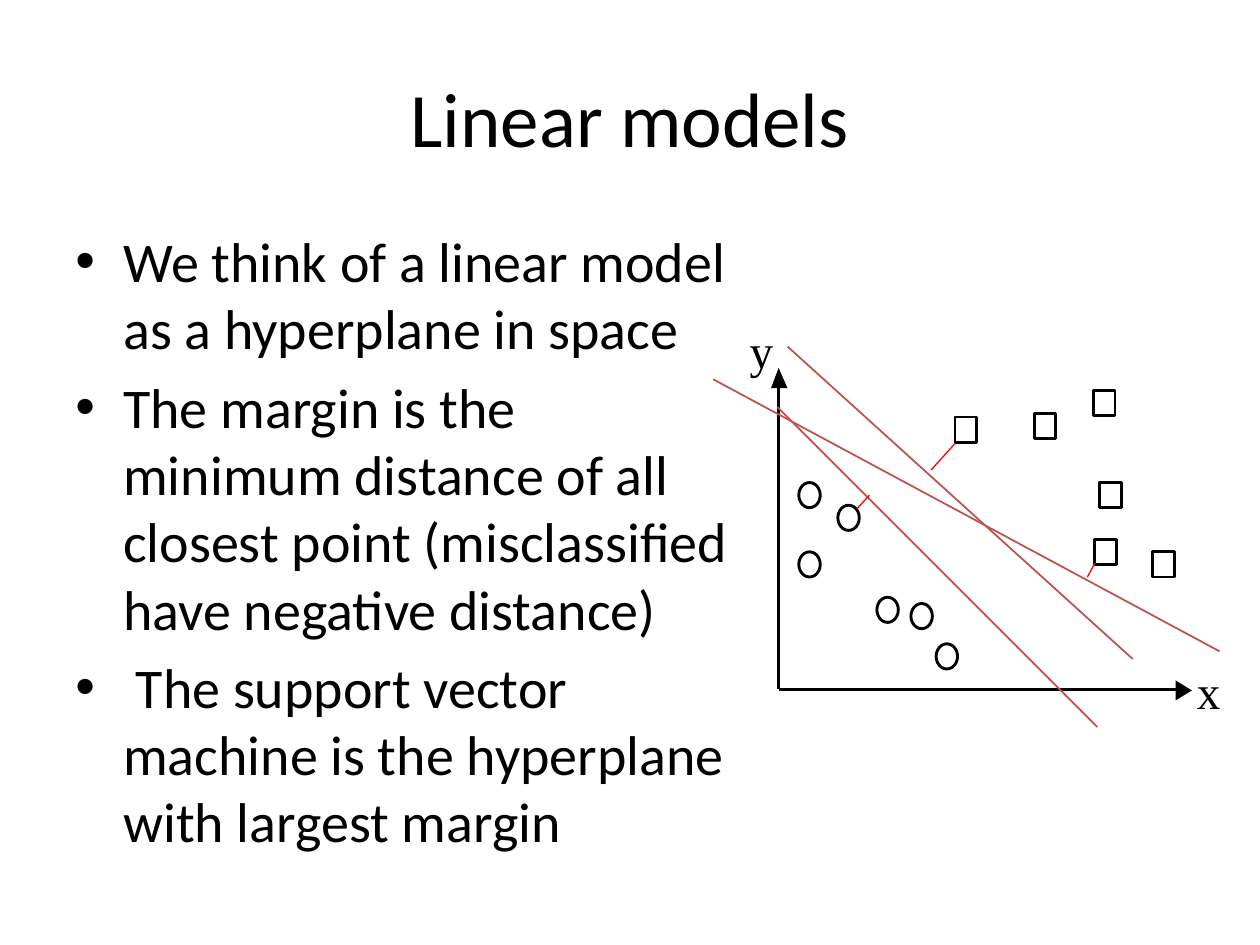
from lxml import etree
from pptx import Presentation
from pptx.dml.color import RGBColor
from pptx.enum.shapes import MSO_CONNECTOR, MSO_SHAPE
from pptx.enum.text import MSO_ANCHOR, MSO_AUTO_SIZE, PP_ALIGN
from pptx.oxml.ns import qn
from pptx.util import Inches, Pt

STRAIGHT = MSO_CONNECTOR.STRAIGHT
CIRCLE, SQUARE = MSO_SHAPE.OVAL, MSO_SHAPE.RECTANGLE
MIDDLE, TOP = MSO_ANCHOR.MIDDLE, MSO_ANCHOR.TOP
CENTER, LEFT = PP_ALIGN.CENTER, PP_ALIGN.LEFT
NO_AUTOFIT = MSO_AUTO_SIZE.NONE
TITLE_ONLY = 5
COLUMNS, ROWS = 100, 75

BULLETS = [
    "We think of a linear model as a hyperplane in space",
    "The margin is the minimum distance of all closest point (misclassified have negative distance)",
    " The support vector machine is the hyperplane with largest margin",
]
CIRCLES = [(72.3, 47.9), (63.4, 43.8), (63.4, 38.3), (69.6, 47.4), (74.3, 51.1), (66.5, 40.1)]
SQUARES = [(75.8, 33.1), (86.9, 42.8), (82.1, 32.8), (86.8, 31), (91.5, 43.8), (87.3, 38.3)]
AXES = [((61.8, 54.7), (61.8, 30.7)), ((61.8, 54.7), (93.3, 54.7))]
ARROWHEADS = [[(62.5, 30.8), (61.8, 29.2), (61.2, 30.8)], [(93.3, 55.6), (94.6, 54.8), (93.3, 54)]]
HYPERPLANES = [((62.5, 27.5), (89.9, 52.3)), ((61.7, 32.3), (87.1, 57.7)), ((56.6, 30.1), (96.8, 51.7))]
MARGINS = [((68, 40.4), (69, 39.3)), ((86.3, 45.8), (86.9, 44.7)), ((73.9, 37.3), (75.8, 35.2))]


def color(value):
    return RGBColor.from_string(value)


class SlideBuilder:
    black, white, plane, margin = "000000", "FFFFFF", "C0504D", "FF0000"
    sans, serif = "Calibri", "Times New Roman"
    stroke = 1.63

    def __init__(self, presentation):
        self.column = presentation.slide_width / COLUMNS
        self.row = presentation.slide_height / ROWS
        self.slide = presentation.slides.add_slide(presentation.slide_layouts[TITLE_ONLY])
        self.shapes = self.slide.shapes

    def point(self, column, row):
        return round(column * self.column), round(row * self.row)

    def box(self, left, top, width, height):
        return self.point(left, top) + self.point(width, height)

    def format_text(self, paragraph, font, size, alignment=LEFT):
        paragraph.alignment = alignment
        paragraph.font.name = font
        paragraph.font.size = Pt(size)
        paragraph.font.color.rgb = color(self.black)

    def title(self, text, *area):
        shape = self.shapes.title
        shape.left, shape.top, shape.width, shape.height = self.box(*area)
        shape.text_frame.text = text
        shape.text_frame.vertical_anchor = MIDDLE
        self.format_text(shape.text_frame.paragraphs[0], self.sans, 44, CENTER)

    def bullets(self, texts, *area):
        frame = self.shapes.add_textbox(*self.box(*area)).text_frame
        frame.word_wrap = True
        frame.auto_size = NO_AUTOFIT
        frame.vertical_anchor = TOP
        frame.text = "\n".join(texts)
        for paragraph in frame.paragraphs:
            self.format_text(paragraph, self.sans, 32)
            paragraph.space_before = Pt(6.4)
            properties = paragraph._p.get_or_add_pPr()
            properties.set("marL", str(Inches(0.38)))
            properties.set("indent", str(-Inches(0.38)))
            etree.SubElement(properties, qn("a:buFont")).set("typeface", "Arial")
            etree.SubElement(properties, qn("a:buChar")).set("char", "•")
            properties.append(properties.find(qn("a:defRPr")))

    def label(self, text, left, top):
        frame = self.shapes.add_textbox(*self.box(left, top, 2, 4.3)).text_frame
        frame.margin_left = frame.margin_right = frame.margin_top = frame.margin_bottom = 0
        frame.word_wrap = False
        frame.text = text
        self.format_text(frame.paragraphs[0], self.serif, 27)

    def marker(self, kind, left, top):
        shape = self.shapes.add_shape(kind, *self.box(left, top, 1.7, 2))
        shape.shadow.inherit = False
        shape.fill.solid()
        shape.fill.fore_color.rgb = color(self.white)
        shape.line.color.rgb = color(self.black)
        shape.line.width = Pt(self.stroke)

    def line(self, start, end, line_color, width):
        connector = self.shapes.add_connector(STRAIGHT, *self.point(*start), *self.point(*end))
        connector.line.color.rgb = color(line_color)
        connector.line.width = Pt(width)
        etree.SubElement(connector._element.spPr, qn("a:effectLst"))

    def arrowhead(self, corners):
        first, *others = [self.point(*corner) for corner in corners]
        builder = self.shapes.build_freeform(*first)
        builder.add_line_segments(others)
        shape = builder.convert_to_shape()
        shape.shadow.inherit = False
        shape.fill.solid()
        shape.fill.fore_color.rgb = color(self.black)
        shape.line.fill.background()


def main():
    presentation = Presentation()
    presentation.slide_width = Inches(10)
    presentation.slide_height = Inches(7.5)
    builder = SlideBuilder(presentation)
    builder.title("Linear models", 5, 3, 90, 12.5)
    builder.bullets(BULLETS, 5, 17.5, 54.5, 49.5)
    builder.label("y", 59.5, 25.5)
    builder.label("x", 95, 52.6)
    for kind, places in ((CIRCLE, CIRCLES), (SQUARE, SQUARES)):
        for place in places:
            builder.marker(kind, *place)
    for lines, line_color, width in (
        (AXES, builder.black, builder.stroke),
        (HYPERPLANES, builder.plane, 1),
        (MARGINS, builder.margin, 0.75),
    ):
        for start, end in lines:
            builder.line(start, end, line_color, width)
    for corners in ARROWHEADS:
        builder.arrowhead(corners)
    presentation.save("out.pptx")


if __name__ == "__main__":
    main()
